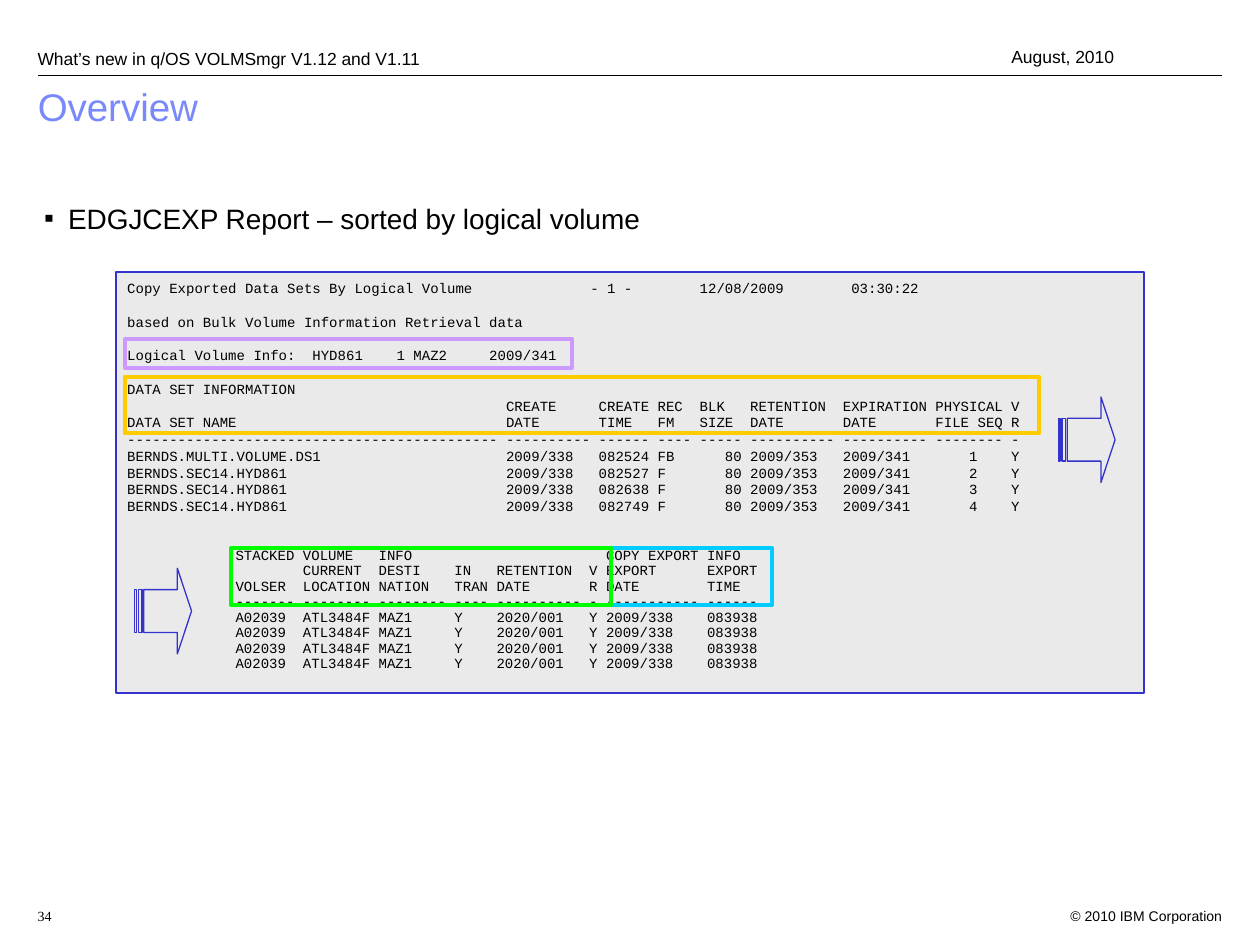
from typing import NamedTuple

from lxml.etree import SubElement
from pptx import Presentation
from pptx.dml.color import RGBColor
from pptx.enum.shapes import MSO_CONNECTOR as Link, MSO_SHAPE as Shape
from pptx.enum.text import MSO_ANCHOR as Anchor, MSO_AUTO_SIZE as Fit, PP_ALIGN as Align
from pptx.oxml.ns import qn
from pptx.util import Inches, Pt

COLS, ROWS = 100, 75
WIDE, HIGH = Inches(10), Inches(7.5)
BLACK, BLUE, GREY = "000000", "3333CC", "EAEAEA"
LINE = 9.6  # points from one report line to the next


class Box(NamedTuple):
    """A place on the grid of COLS by ROWS."""
    col: float
    row: float
    cols: float
    rows: float

    def emu(self) -> tuple:
        return (across(self.col), down(self.row),
                across(self.cols), down(self.rows))


class Label(NamedTuple):
    box: Box
    text: str
    size: float
    font: str = "Arial"
    align: Align = Align.LEFT
    anchor: Anchor = Anchor.TOP
    inset: float = 0.5


class Frame(NamedTuple):
    box: Box
    color: str


class Block(NamedTuple):
    """Report lines with the count of blank lines before them."""
    gap: int
    lines: list
    left: float = 0
    pitch: float = 1.0


RULE = Box(3, 6, 94, 0)
PANEL = Box(9.2, 21.6, 81.6, 33.4)
LABELS = [
    Label(Box(83, 71.5, 15, 2), "© 2010 IBM Corporation", 8, align=Align.RIGHT),
    Label(Box(2, 1.5, 47, 4), "What’s new in q/OS VOLMSmgr V1.12 and V1.11", 10,
          anchor=Anchor.BOTTOM, inset=0),
    Label(Box(42.4, 1.3, 47, 4), "August, 2010", 10, align=Align.RIGHT,
          anchor=Anchor.BOTTOM, inset=0),
    Label(Box(2, 71.5, 4, 2), "34", 8, "Times New Roman"),
]
FRAMES = [
    Frame(Box(9.9, 29.9, 72.6, 4.5), "FFCC00"),
    Frame(Box(48.5, 43.5, 12.8, 4.5), "00CCFF"),
    Frame(Box(9.9, 26.9, 35.5, 2.3), "CC99FF"),
    Frame(Box(18.3, 43.5, 30.2, 4.5), "00FF00"),
]
ARROWS = [Box(84, 31.5, 4.5, 6.8), Box(10.7, 45.1, 4.5, 6.8)]

SETS = [("BERNDS.MULTI.VOLUME.DS1", "082524", "FB"),
        ("BERNDS.SEC14.HYD861", "082527", "F"),
        ("BERNDS.SEC14.HYD861", "082638", "F"),
        ("BERNDS.SEC14.HYD861", "082749", "F")]
REPORT = [
    Block(0, ["Copy Exported Data Sets By Logical Volume              - 1 -"
              "        12/08/2009        03:30:22"]),
    Block(1, ["based on Bulk Volume Information Retrieval data"]),
    Block(1, ["Logical Volume Info:  HYD861    1 MAZ2     2009/341"]),
    Block(1, [
        "DATA SET INFORMATION",
        f"{'':45}CREATE     CREATE REC  BLK   RETENTION  EXPIRATION PHYSICAL V",
        f"{'DATA SET NAME':45}DATE       TIME   FM   SIZE  DATE       DATE       FILE SEQ R",
        " ".join("-" * n for n in (44, 10, 6, 4, 5, 10, 10, 8, 1)),
        *(f"{name:45}2009/338   {time} {form:8}80 2009/353   2009/341       {seq}    Y"
          for seq, (name, time, form) in enumerate(SETS, 1)),
    ]),
    Block(2, [
        "STACKED VOLUME   INFO                       COPY EXPORT INFO",
        "        CURRENT  DESTI    IN   RETENTION  V EXPORT      EXPORT",
        "VOLSER  LOCATION NATION   TRAN DATE       R DATE        TIME",
        " ".join("-" * n for n in (7, 8, 8, 4, 10, 1, 11, 6)),
        *["A02039  ATL3484F MAZ1     Y    2020/001   Y 2009/338    083938"] * 4,
    ], left=8.6, pitch=0.92),
]


def across(cols: float) -> int:
    return round(WIDE * cols / COLS)


def down(rows: float) -> int:
    return round(HIGH * rows / ROWS)


def rgb(code: str) -> RGBColor:
    return RGBColor.from_string(code)


def assign(item, **values) -> None:
    for key, value in values.items():
        setattr(item, key, value)


def place(shape, box: Box) -> None:
    assign(shape, **dict(zip(("left", "top", "width", "height"), box.emu())))


def style(para, size: float, font: str = "Arial", color: str = BLACK, **form) -> None:
    assign(para, **form)
    assign(para.font, size=Pt(size), name=font)
    para.font.color.rgb = rgb(color)


def inset(frame, side: float, top: float, foot: float) -> None:
    assign(frame, word_wrap=True, margin_left=across(side), margin_right=across(side),
           margin_top=down(top), margin_bottom=down(foot))


def outline(slide, kind: Shape, box: Box, color: str, width: float):
    shape = slide.shapes.add_shape(kind, *box.emu())
    shape.shadow.inherit = False
    shape.fill.background()
    shape.line.color.rgb = rgb(color)
    shape.line.width = Pt(width)
    return shape


def rule(slide) -> None:
    x, y, wide, _ = RULE.emu()
    line = slide.shapes.add_connector(Link.STRAIGHT, x, y, x + wide, y)
    line.line.color.rgb = rgb(BLACK)
    line.line.width = Pt(0.75)
    SubElement(line._element.spPr, qn("a:effectLst"))


def label(slide, item: Label) -> None:
    frame = slide.shapes.add_textbox(*item.box.emu()).text_frame
    inset(frame, 1, item.inset, item.inset)
    frame.vertical_anchor = item.anchor
    para = frame.paragraphs[0]
    para.text = item.text
    style(para, item.size, item.font, alignment=item.align)


def heads(slide) -> None:
    """Fill the title and the list."""
    title, body = slide.placeholders
    for shape, box, text in (
            (title, Box(2, 6.5, 95, 13), "Overview"),
            (body, Box(2.5, 15.5, 95, 49), "EDGJCEXP Report – sorted by logical volume")):
        place(shape, box)
        frame = shape.text_frame
        inset(frame, 1, 0.5, 0.5)
        assign(frame, vertical_anchor=Anchor.TOP, auto_size=Fit.NONE, text=text)
    style(title.text_frame.paragraphs[0], 22, color="7889FB",
          alignment=Align.LEFT, line_spacing=0.9)
    item = body.text_frame.paragraphs[0]
    props = item._p.get_or_add_pPr()
    props.set("marL", str(across(1.9)))
    props.set("indent", str(-across(1.9)))
    SubElement(props, qn("a:buFont"), typeface="Arial")
    SubElement(props, qn("a:buChar"), char="▪")
    style(item, 16, space_before=Pt(0))


def report(slide) -> None:
    panel = outline(slide, Shape.RECTANGLE, PANEL, BLUE, 0.75)
    panel.fill.solid()
    panel.fill.fore_color.rgb = rgb(GREY)
    frame = panel.text_frame
    inset(frame, 0.9, 0.6, 0.5)
    frame.vertical_anchor = Anchor.TOP
    rows = [(block, i, text) for block in REPORT for i, text in enumerate(block.lines)]
    for n, (block, i, text) in enumerate(rows):
        para = frame.add_paragraph() if n else frame.paragraphs[0]
        para.text = text
        para._p.get_or_add_pPr().set("marL", str(across(block.left)))
        gap = 0 if i else block.gap * LINE
        style(para, 8, "Courier New", alignment=Align.LEFT,
              line_spacing=block.pitch, space_before=Pt(gap))


def main() -> None:
    deck = Presentation()
    assign(deck, slide_width=WIDE, slide_height=HIGH)
    slide = deck.slides.add_slide(deck.slide_layouts[1])
    rule(slide)
    heads(slide)
    report(slide)
    for item in FRAMES:
        outline(slide, Shape.RECTANGLE, item.box, item.color, 2.25)
    for box in ARROWS:
        arrow = outline(slide, Shape.STRIPED_RIGHT_ARROW, box, BLUE, 0.75)
        arrow.adjustments[1] = 0.25
    for item in LABELS:
        label(slide, item)
    deck.save("out.pptx")


if __name__ == "__main__":
    main()
